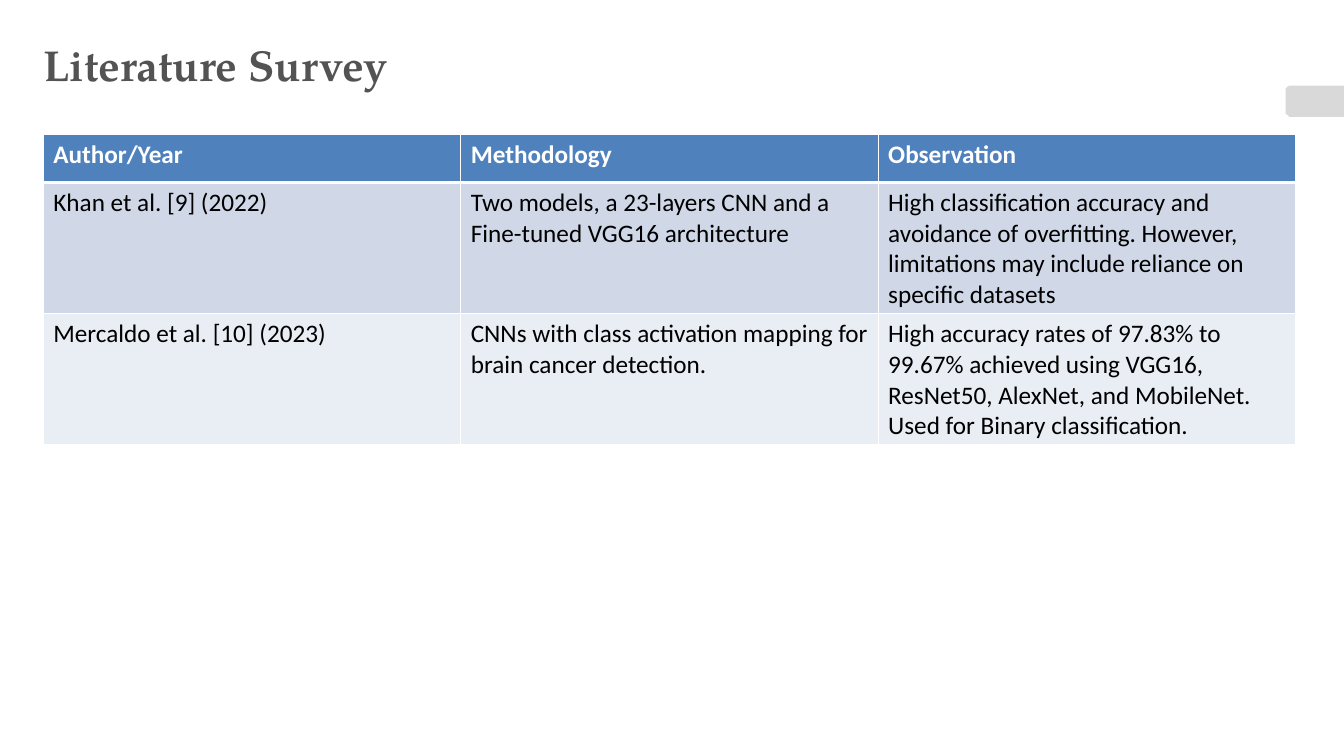
from lxml import etree
from pptx import Presentation
from pptx import util as u
from pptx.dml import color
from pptx.enum import text
from pptx.oxml import ns


def rgb(value):
    return color.RGBColor.from_string(value)


class SurveySlide:
    """Holds the style and the current slide, with a method per element."""

    title_font, body_font = "TeX Gyre Pagella", "Calibri"
    title_color, tab_color = "535353", "D9D9D9"
    header_fill, band_fills = "4F81BD", ("D0D8E8", "E9EDF4")
    border_color = "FFFFFF"

    def __init__(self, deck):
        self.slide = deck.slides.add_slide(deck.slide_layouts[6])

    def add_words(self, frame, words, font, size, ink, bold):
        run = frame.paragraphs[0].add_run()
        run.text = words
        run.font.name = font
        run.font.size = u.Pt(size)
        run.font.bold = bold
        run.font.color.rgb = rgb(ink)

    def title(self, words, left, top, width, height):
        heading = self.slide.shapes.add_textbox(
            u.Inches(left), u.Inches(top), u.Inches(width), u.Inches(height))
        frame = heading.text_frame
        frame.word_wrap = True
        frame.vertical_anchor = text.MSO_ANCHOR.TOP
        frame.margin_left = frame.margin_right = 0
        frame.margin_top = frame.margin_bottom = 0
        self.add_words(frame, words, self.title_font, 30.9, self.title_color, True)

    def edge_tab(self, points):
        outline = [(u.Inches(x), u.Inches(y)) for x, y in points]
        builder = self.slide.shapes.build_freeform(*outline[0])
        builder.add_line_segments(outline[1:], close=True)
        tab = builder.convert_to_shape()
        tab.shadow.inherit = False
        tab.fill.solid()
        tab.fill.fore_color.rgb = rgb(self.tab_color)
        tab.line.fill.background()

    def borders(self, cell, **widths):
        properties = cell._tc.get_or_add_tcPr()
        for side in "LRTB":
            line = etree.SubElement(properties, ns.qn(f"a:ln{side}"),
                                    w=str(u.Pt(widths.get(side, 1))))
            fill = etree.SubElement(line, ns.qn("a:solidFill"))
            etree.SubElement(fill, ns.qn("a:srgbClr"), val=self.border_color)

    def table(self, rows, left, top, column_width, row_heights):
        columns = len(rows[0])
        survey = self.slide.shapes.add_table(
            len(rows), columns, u.Inches(left), u.Inches(top),
            u.Inches(column_width * columns), u.Inches(sum(row_heights))).table
        for column in survey.columns:
            column.width = u.Inches(column_width)
        for r, (entries, height) in enumerate(zip(rows, row_heights)):
            survey.rows[r].height = u.Inches(height)
            header = r == 0
            fill = self.header_fill if header else self.band_fills[(r - 1) % 2]
            ink = "FFFFFF" if header else "000000"
            for c, words in enumerate(entries):
                cell = survey.cell(r, c)
                self.borders(cell, B=3 if header else 1, T=3 if r == 1 else 1)
                cell.fill.solid()
                cell.fill.fore_color.rgb = rgb(fill)
                self.add_words(cell.text_frame, words, self.body_font, 18, ink, header)


def main():
    deck = Presentation()
    deck.slide_width, deck.slide_height = u.Inches(13.33), u.Inches(7.5)
    page = SurveySlide(deck)
    page.edge_tab([
        (13.33, 0.85), (12.82, 0.85), (12.79, 0.85), (12.77, 0.86),
        (12.75, 0.88), (12.75, 0.9), (12.75, 1.11), (12.75, 1.13),
        (12.77, 1.14), (12.79, 1.16), (12.82, 1.16), (13.33, 1.16)])
    page.title("Literature Survey", 0.43, 0.38, 4.72, 0.52)
    page.table([
        ("Author/Year", "Methodology", "Observation"),
        ("Khan et al. [9] (2022)",
         "Two models, a 23-layers CNN and a Fine-tuned VGG16 architecture",
         "High classification accuracy and avoidance of overfitting. However, "
         "limitations may include reliance on specific datasets"),
        ("Mercaldo et al. [10] (2023)",
         "CNNs with class activation mapping for brain cancer detection.",
         "High accuracy rates of 97.83% to 99.67% achieved using VGG16, "
         "ResNet50, AlexNet, and MobileNet. Used for Binary classification."),
    ], 0.43, 1.33, 4.14, (0.48, 1.17, 1.17))
    deck.save("out.pptx")


if __name__ == "__main__":
    main()
